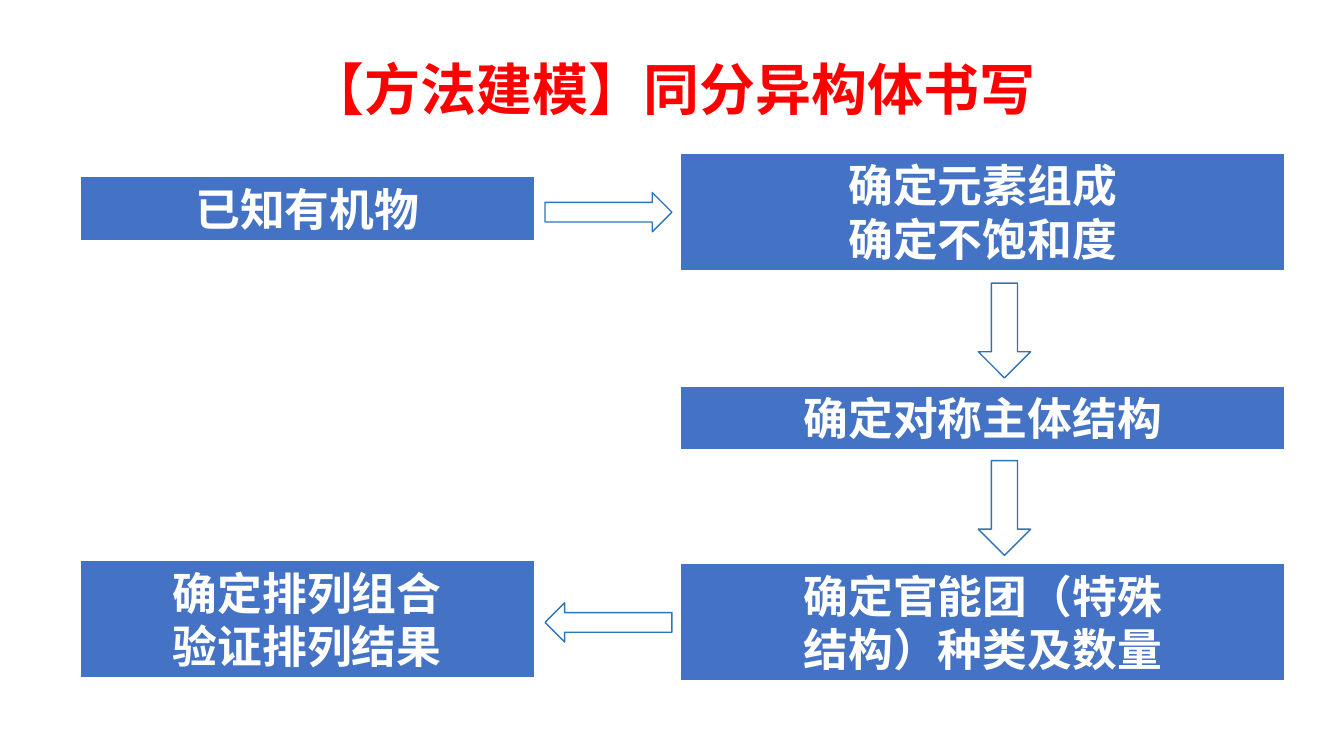
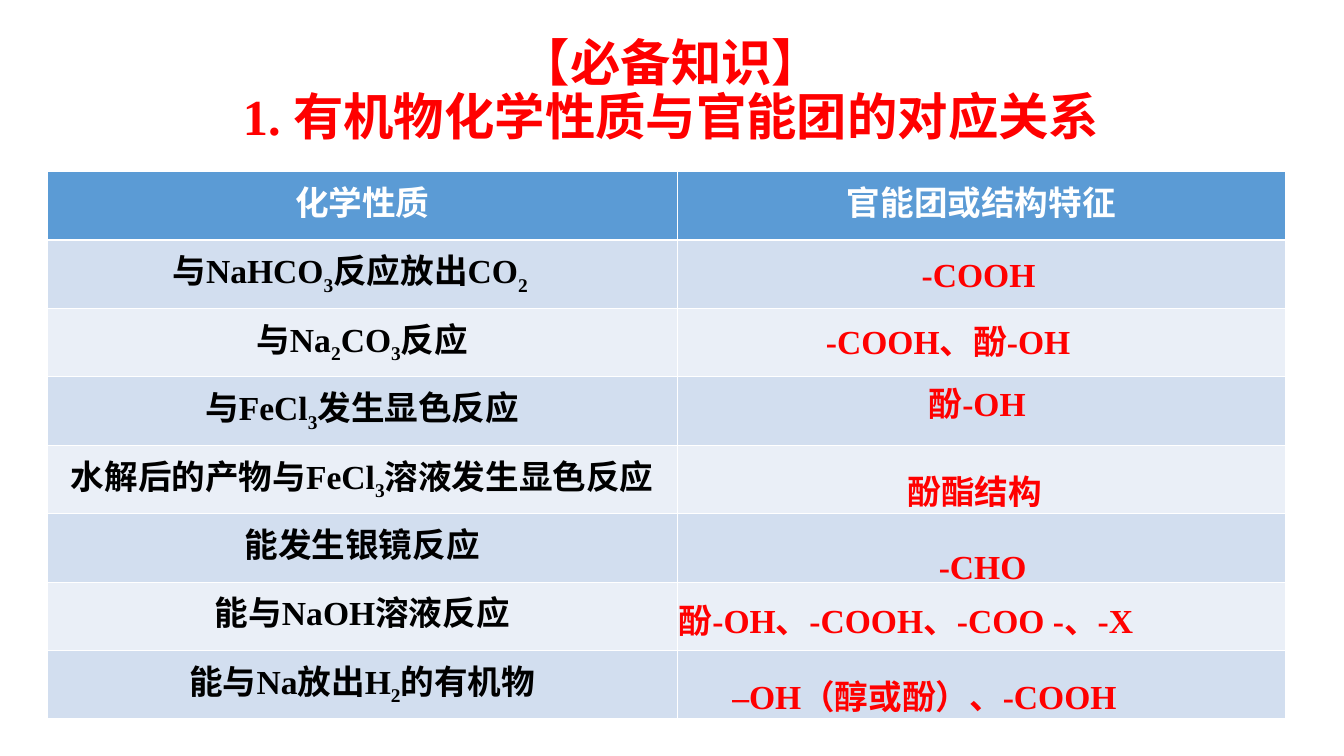
"""Build two slides on writing isomers and matching properties to functional groups."""
from lxml.etree import SubElement
from pptx import Presentation
from pptx.dml.color import RGBColor
from pptx.enum.shapes import MSO_SHAPE as SHAPE
from pptx.enum.text import MSO_ANCHOR as ANCHOR, MSO_AUTO_SIZE as FIT, PP_ALIGN as ALIGN
from pptx.oxml.ns import qn
from pptx.util import Inches, Pt

RED = RGBColor(0xFF, 0x00, 0x00)
WHITE = RGBColor(0xFF, 0xFF, 0xFF)
BLACK = RGBColor(0x00, 0x00, 0x00)
BLUE = RGBColor(0x44, 0x72, 0xC4)
EDGE = RGBColor(0x2E, 0x75, 0xB6)
HEAD = RGBColor(0x5B, 0x9B, 0xD5)
DARK = RGBColor(0xD2, 0xDE, 0xEF)
LIGHT = RGBColor(0xEA, 0xEF, 0xF7)
SERIF, SANS = "Times New Roman", "Calibri"


def write(para, text, size, color, face=SERIF, align=ALIGN.CENTER):
    """Add bold runs to a paragraph; parts between underscores are subscripts."""
    para.alignment = align
    for i, part in enumerate(text.split("_")):
        if part:
            run = para.add_run()
            run.text = part
            font = run.font
            font.size, font.bold, font.name = Pt(size), True, face
            font.color.rgb = color
            if i % 2:
                run._r.get_or_add_rPr().set("baseline", "-25000")


def start(lines, left, width, size):
    """Add a blank slide with its red title."""
    slide = deck.slides.add_slide(deck.slide_layouts[6])
    box = slide.shapes.add_textbox(Inches(left), Inches(0.29), Inches(width), Inches(1.25))
    frame = box.text_frame
    frame.word_wrap = True
    frame.vertical_anchor = ANCHOR.MIDDLE
    para = frame.paragraphs[0]
    para.line_spacing = 0.9
    for i, line in enumerate(lines):
        if i:
            para.add_line_break()
        write(para, line, size, RED)
    return slide


deck = Presentation()
deck.slide_width, deck.slide_height = Inches(13.34), Inches(7.5)

flow = start(["【方法建模】同分异构体书写"], 0.52, 12.3, 40)
LEFT, RIGHT = (0.79, 4.52), (6.75, 6.01)
steps = [
    (LEFT, 1.75, 0.64, ["已知有机物"]),
    (RIGHT, 1.52, 1.17, ["确定元素组成", "确定不饱和度"]),
    (RIGHT, 3.83, 0.64, ["确定对称主体结构"]),
    (RIGHT, 5.59, 1.17, ["确定官能团（特殊", "结构）种类及数量"]),
    (LEFT, 5.56, 1.17, ["确定排列组合", "验证排列结果"]),
]
for (left, width), top, height, lines in steps:
    box = flow.shapes.add_shape(SHAPE.RECTANGLE, Inches(left), Inches(top), Inches(width), Inches(height))
    box.shadow.inherit = False
    box.fill.solid()
    box.fill.fore_color.rgb = BLUE
    box.line.color.rgb = WHITE
    box.line.width = Pt(1.5)
    frame = box.text_frame
    frame.word_wrap = True
    frame.auto_size = FIT.SHAPE_TO_FIT_TEXT
    frame.vertical_anchor = ANCHOR.TOP
    for i, line in enumerate(lines):
        para = frame.add_paragraph() if i else frame.paragraphs[0]
        write(para, line, 32, WHITE)

arrows = [
    (SHAPE.RIGHT_ARROW, 5.41, 1.91, 1.26, 0.39),
    (SHAPE.DOWN_ARROW, 9.71, 2.81, 0.52, 0.94),
    (SHAPE.DOWN_ARROW, 9.71, 4.57, 0.52, 0.94),
    (SHAPE.LEFT_ARROW, 5.41, 5.98, 1.26, 0.39),
]
for kind, *place in arrows:
    arrow = flow.shapes.add_shape(kind, *map(Inches, place))
    arrow.shadow.inherit = False
    arrow.fill.background()
    arrow.line.color.rgb = EDGE
    arrow.line.width = Pt(1)

facts = start(["【必备知识】", "1. 有机物化学性质与官能团的对应关系"], 0.25, 12.82, 36)
rows = [
    ("化学性质", "官能团或结构特征"),
    ("与NaHCO_3_反应放出CO_2", ""),
    ("与Na_2_CO_3_反应", ""),
    ("与FeCl_3_发生显色反应", ""),
    ("水解后的产物与FeCl_3_溶液发生显色反应", ""),
    ("能发生银镜反应", ""),
    ("能与NaOH溶液反应", ""),
    ("能与Na放出H_2_的有机物", ""),
]
grid = facts.shapes.add_table(len(rows), 2, Inches(0.47), Inches(1.7), Inches(12.29), Inches(5.43)).table
grid.columns[0].width, grid.columns[1].width = Inches(6.25), Inches(6.04)
for r, texts in enumerate(rows):
    for c, text in enumerate(texts):
        cell = grid.cell(r, c)
        cell.margin_left = cell.margin_right = Inches(0.13)
        color, face = (BLACK, SERIF) if r else (WHITE, SANS)
        write(cell.text_frame.paragraphs[0], text, 24, color, face)
        props = cell._tc.get_or_add_tcPr()
        for side in "LRTB":
            thick = (r, side) in [(0, "B"), (1, "T")]
            edge = SubElement(props, qn(f"a:ln{side}"), w=str(Pt(1.47 if thick else 0.45)))
            fill = SubElement(edge, qn("a:solidFill"))
            SubElement(fill, qn("a:srgbClr"), val=str(WHITE))
        cell.fill.solid()
        cell.fill.fore_color.rgb = (DARK if r % 2 else LIGHT) if r else HEAD
grid.cell(1, 0).margin_right = Inches(0.37)

answers = [
    ("-COOH", 9.05, 2.47, 1.6),
    ("-COOH、酚-OH", 8.1, 3.13, 3.2),
    ("酚-OH", 9.12, 3.75, 1.6),
    ("酚酯结构", 8.91, 4.62, 1.8),
    ("-CHO", 9.22, 5.37, 1.4),
    ("酚-OH、-COOH、-COO -、-X", 6.64, 5.9, 5.8),
    ("–OH（醇或酚）、-COOH", 7.17, 6.66, 4.8),
]
for text, left, top, width in answers:
    box = facts.shapes.add_textbox(Inches(left), Inches(top), Inches(width), Inches(0.5))
    frame = box.text_frame
    frame.word_wrap = True
    write(frame.paragraphs[0], text, 24, RED, align=ALIGN.LEFT)

deck.save("out.pptx")
